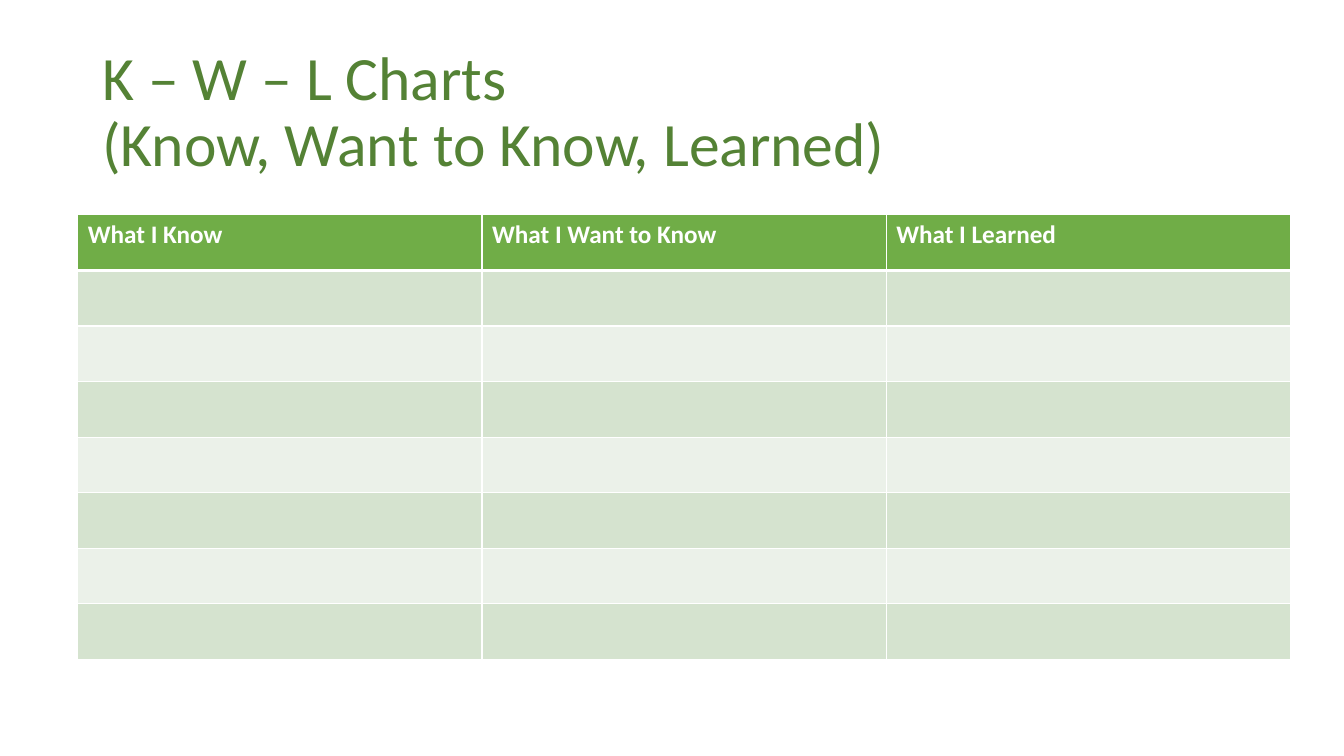
"""Build a slide with a three-column K – W – L table."""
from dataclasses import dataclass

from lxml import etree
from pptx import Presentation, util as u
from pptx.dml.color import RGBColor
from pptx.enum import text
from pptx.oxml import ns

WHITE = RGBColor(0xFF, 0xFF, 0xFF)
DARK_GREEN = RGBColor(0x54, 0x82, 0x35)
GREEN = RGBColor(0x70, 0xAD, 0x47)
PALE_GREEN = RGBColor(0xD5, 0xE3, 0xCF)
PALEST_GREEN = RGBColor(0xEB, 0xF1, 0xE9)

HEADINGS = ("What I Know", "What I Want to Know", "What I Learned")
BLANK_ROWS = 7
COLUMN_WIDTH = 288.72
ROW_HEIGHT = 39.69


@dataclass(frozen=True)
class RowStyle:
    """Fill and horizontal border widths of one table row."""
    fill: RGBColor
    top: float = 1
    bottom: float = 1


def write_text(frame, content: str, *, size: float, color: RGBColor,
               bold: bool = False, spacing: float = 1.0) -> None:
    """Write one paragraph in the given format."""
    paragraph = frame.paragraphs[0]
    paragraph.text = content
    paragraph.line_spacing = spacing
    for run in paragraph.runs:
        run.font.name = "Calibri"
        run.font.size = u.Pt(size)
        run.font.bold = bold
        run.font.color.rgb = color


def style_cell(cell, style: RowStyle) -> None:
    """Give a cell its white borders and its fill."""
    properties = cell._tc.get_or_add_tcPr()
    widths = {"lnL": 1, "lnR": 1, "lnT": style.top, "lnB": style.bottom}
    for side, width in widths.items():
        line = etree.SubElement(properties, ns.qn(f"a:{side}"), w=str(u.Pt(width)))
        solid = etree.SubElement(line, ns.qn("a:solidFill"))
        etree.SubElement(solid, ns.qn("a:srgbClr"), val=str(WHITE))
    cell.fill.solid()
    cell.fill.fore_color.rgb = style.fill


def add_title(slide) -> None:
    """Add the two-line title."""
    box = slide.shapes.add_textbox(u.Pt(66), u.Pt(28.75), u.Pt(828), u.Pt(104.4))
    box.text_frame.word_wrap = True
    box.text_frame.vertical_anchor = text.MSO_ANCHOR.MIDDLE
    write_text(box.text_frame, "K – W – L Charts\v(Know, Want to Know, Learned)",
               size=44, color=DARK_GREEN, spacing=0.9)


def add_kwl_table(slide) -> None:
    """Add the heading row and the banded blank rows."""
    styles = [RowStyle(GREEN, bottom=3)]
    for index in range(BLANK_ROWS):
        fill = PALEST_GREEN if index % 2 else PALE_GREEN
        styles.append(RowStyle(fill, top=1 if index else 3))
    table = slide.shapes.add_table(
        len(styles), len(HEADINGS), u.Pt(55.6), u.Pt(153.5),
        u.Pt(COLUMN_WIDTH * len(HEADINGS)), u.Pt(ROW_HEIGHT * len(styles))).table
    for column in table.columns:
        column.width = u.Pt(COLUMN_WIDTH)
    for row, style in zip(table.rows, styles):
        row.height = u.Pt(ROW_HEIGHT)
        for cell in row.cells:
            style_cell(cell, style)
    for cell, heading in zip(table.rows[0].cells, HEADINGS):
        write_text(cell.text_frame, heading, size=18, color=WHITE, bold=True)


def main() -> None:
    """Build and save the presentation."""
    presentation = Presentation()
    presentation.slide_width = u.Pt(960)
    presentation.slide_height = u.Pt(540)
    slide = presentation.slides.add_slide(presentation.slide_layouts[6])
    add_title(slide)
    add_kwl_table(slide)
    presentation.save("out.pptx")


if __name__ == "__main__":
    main()
